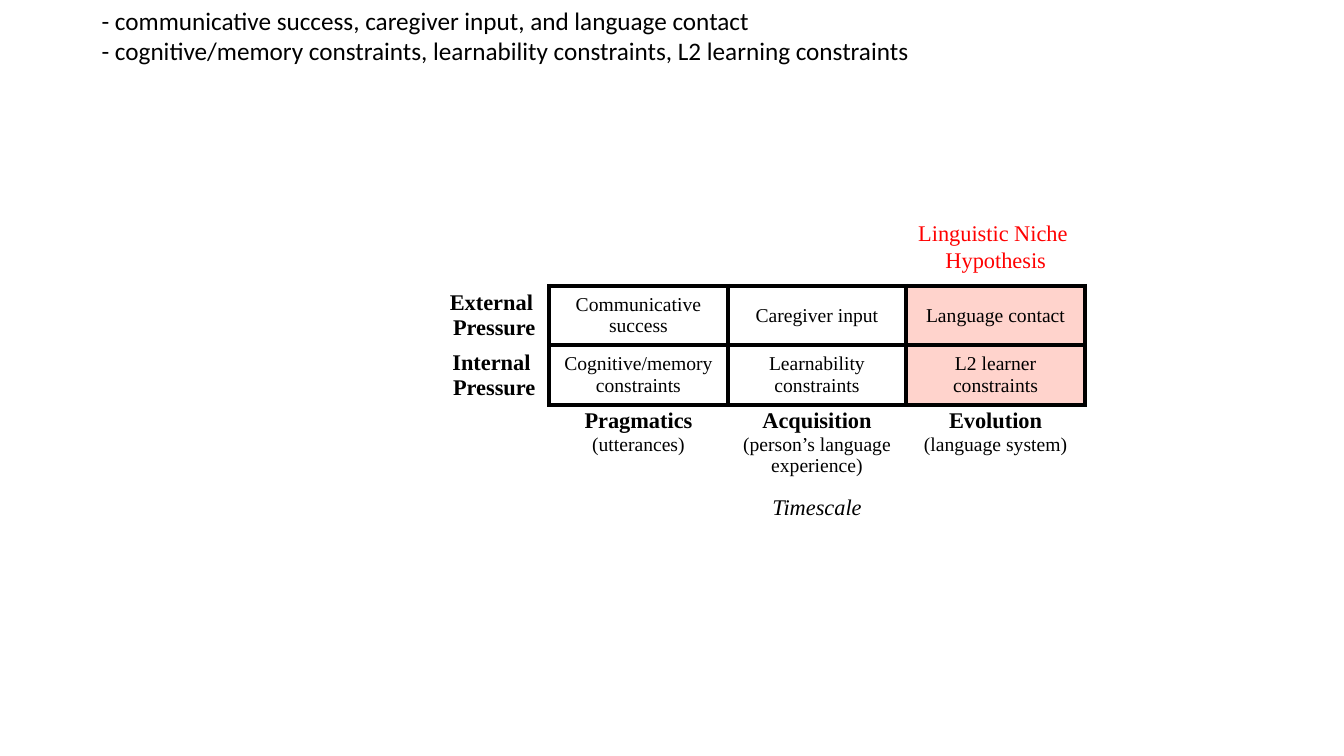
from lxml.etree import SubElement
from pptx import Presentation
from pptx.dml.color import RGBColor
from pptx.enum.text import MSO_ANCHOR as Anchor, PP_ALIGN as Align
from pptx.oxml.ns import qn
from pptx.util import Cm, Pt

SERIF = "Times New Roman"
LABEL_WIDTH, FACTOR_WIDTH = 2.77, 4.5
ROW_HEIGHTS = (1.5, 1.5, 2.18, 1.75)
PRESSURES = (
    ("External \nPressure",
     ("Communicative success", "Caregiver input", "Language contact")),
    ("Internal \nPressure",
     ("Cognitive/memory constraints", "Learnability constraints", "L2 learner constraints")),
)
TIMESCALES = (
    ("Pragmatics", "(utterances)"),
    ("Acquisition", "(person’s language experience)"),
    ("Evolution", "(language system)"),
)


def paint(color_format, hex_color):
    """Apply a hex colour to a font or fill colour."""
    color_format.rgb = RGBColor.from_string(hex_color)


def write(frame, text, size=14, font=SERIF, color="000000", bold=False, italic=False,
          align=Align.CENTER):
    """Append each line of text to a frame as a formatted paragraph."""
    for line in text.split("\n"):
        last = frame.paragraphs[-1]
        paragraph = frame.add_paragraph() if last.runs else last
        paragraph.alignment = align
        run = paragraph.add_run()
        run.text = line
        run.font.size, run.font.name = Pt(size), font
        run.font.bold, run.font.italic = bold, italic
        paint(run.font.color, color)


def add_text(slide, left, top, width, height, text, inset=0.25, **text_format):
    """Add a wrapped text box."""
    box = slide.shapes.add_textbox(Cm(left), Cm(top), Cm(width), Cm(height))
    box.text_frame.word_wrap = True
    box.text_frame.margin_left = Cm(inset)
    write(box.text_frame, text, **text_format)


def set_borders(cell, black_edges):
    """Draw the named edges of a cell in black and hide the others."""
    properties = cell._tc.get_or_add_tcPr()
    for edge in "LRTB":
        line = SubElement(properties, qn(f"a:ln{edge}"), w=str(Pt(3)))
        if edge in black_edges:
            SubElement(SubElement(line, qn("a:solidFill")), qn("a:srgbClr"), val="000000")
        else:
            SubElement(line, qn("a:noFill"))


def tint(cell, hex_color, percent):
    """Fill a cell with a partly transparent colour."""
    cell.fill.solid()
    paint(cell.fill.fore_color, hex_color)
    swatch = cell._tc.tcPr.find(f"{qn('a:solidFill')}/{qn('a:srgbClr')}")
    SubElement(swatch, qn("a:alpha"), val=str(percent * 1000))


def add_grid(slide, left, top):
    """Add the unfilled table with black lines around the factors only."""
    factors = len(TIMESCALES)
    width = LABEL_WIDTH + factors * FACTOR_WIDTH
    grid = slide.shapes.add_table(len(ROW_HEIGHTS), factors + 1, Cm(left), Cm(top),
                                  Cm(width), Cm(sum(ROW_HEIGHTS))).table
    grid.first_row = grid.horz_banding = False
    for index, column in enumerate(grid.columns):
        column.width = Cm(FACTOR_WIDTH if index else LABEL_WIDTH)
    for r, height in enumerate(ROW_HEIGHTS):
        grid.rows[r].height = Cm(height)
        for c in range(factors + 1):
            cell = grid.cell(r, c)
            cell.margin_top = cell.margin_bottom = Cm(0.1)
            if r < len(PRESSURES):
                cell.vertical_anchor = Anchor.MIDDLE
                edges = "LRTB" if c else "R"
            else:
                edges = "T" if c and r == len(PRESSURES) else ""
            set_borders(cell, edges)
            cell.fill.background()
    return grid


def fill_grid(grid):
    """Write the pressures, factors and timescales into the table."""
    for r, (pressure, factors) in enumerate(PRESSURES):
        write(grid.cell(r, 0).text_frame, pressure, size=16, bold=True)
        for c, factor in enumerate(factors, 1):
            write(grid.cell(r, c).text_frame, factor)
        tint(grid.cell(r, len(factors)), "FF2500", 20)
    for c, (timescale, scope) in enumerate(TIMESCALES, 1):
        frame = grid.cell(2, c).text_frame
        write(frame, timescale, size=16, bold=True)
        write(frame, scope)
    axis = grid.cell(3, 1)
    axis.merge(grid.cell(3, 3))
    write(axis.text_frame, "Timescale", size=16, italic=True)


def main():
    """Build and save the slide."""
    deck = Presentation()
    deck.slide_width, deck.slide_height = Cm(33.87), Cm(19.05)
    slide = deck.slides.add_slide(deck.slide_layouts[6])
    fill_grid(add_grid(slide, 11.07, 7.2))
    add_text(slide, 22.63, 5.41, 4.93, 1.63, "Linguistic Niche \nHypothesis",
             size=16, color="FF0000")
    add_text(slide, 2.03, 0, 21.39, 3.33,
             "- communicative success, caregiver input, and language contact\n"
             "- cognitive/memory constraints, learnability constraints, L2 learning constraints",
             inset=0.53, size=18, font="Calibri", align=Align.LEFT)
    deck.save("out.pptx")


main()
